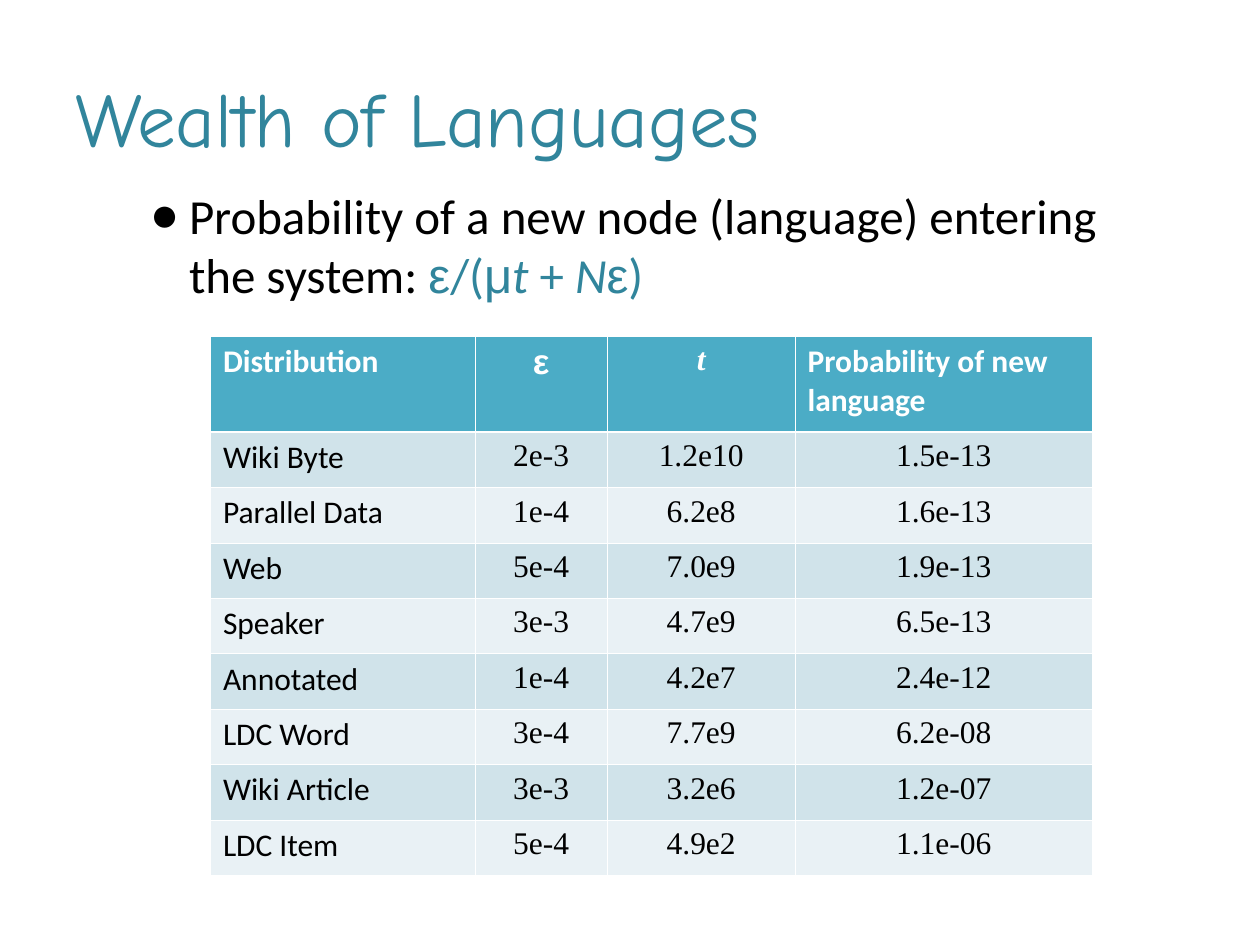
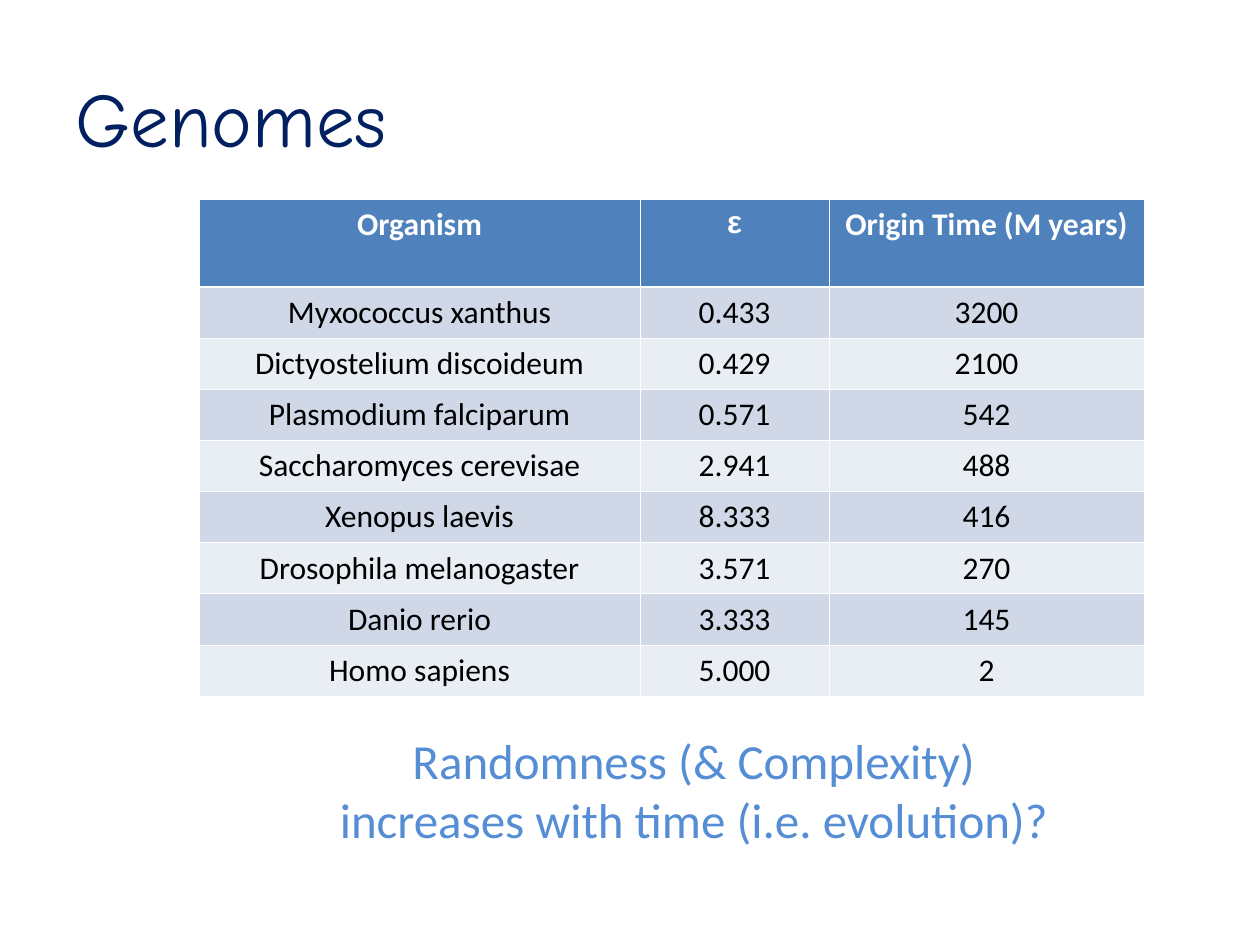
from lxml import etree
from pptx import Presentation
from pptx.dml.color import RGBColor
from pptx.enum.text import MSO_ANCHOR, PP_ALIGN
from pptx.oxml.ns import qn
from pptx.util import Inches, Pt

LEFT, CENTER = PP_ALIGN.LEFT, PP_ALIGN.CENTER
TOP, MIDDLE = MSO_ANCHOR.TOP, MSO_ANCHOR.MIDDLE
TITLE_FONT, BODY_FONT, GREEK_FONT, MATH_FONT = "Comic Neue", "Calibri", "Arial", "Times New Roman"
WHITE, BLACK, TEAL, NAVY, SKY = "FFFFFF", "000000", "31859C", "002060", "558ED5"
TITLE_BOX = (0.5, 0.3, 9, 1.25)
THIN, THICK = 0.45, 1.47

FORMULA = [
    ("Probability of a new node (language) entering the system: ", {"color": BLACK}),
    ("ε", {"font": GREEK_FONT}),
    ("/(", {}),
    ("μ", {"font": GREEK_FONT}),
    ("t ", {"italic": True}),
    ("+ ", {}),
    ("N", {"italic": True}),
    ("ε", {"font": GREEK_FONT}),
    (")", {}),
]

LANGUAGES = {
    "at": (1.67, 2.67),
    "cols": (2.1, 1.05, 1.49, 2.36),
    "head_height": 0.76,
    "row_height": 0.44,
    "head_fill": "4BACC6",
    "bands": ("D0E3EA", "E9F1F5"),
    "head": [
        ("Distribution", {"align": LEFT}),
        ("ε", {"font": GREEK_FONT, "size": 20}),
        ("t", {"font": MATH_FONT, "italic": True}),
        ("Probability of new language", {"align": LEFT}),
    ],
    "label": {"align": LEFT},
    "value": {"font": MATH_FONT},
    "rows": [
        ("Wiki Byte", "2e-3", "1.2e10", "1.5e-13"),
        ("Parallel Data", "1e-4", "6.2e8", "1.6e-13"),
        ("Web", "5e-4", "7.0e9", "1.9e-13"),
        ("Speaker", "3e-3", "4.7e9", "6.5e-13"),
        ("Annotated", "1e-4", "4.2e7", "2.4e-12"),
        ("LDC Word", "3e-4", "7.7e9", "6.2e-08"),
        ("Wiki Article", "3e-3", "3.2e6", "1.2e-07"),
        ("LDC Item", "5e-4", "4.9e2", "1.1e-06"),
    ],
}

GENOMES = {
    "at": (1.58, 1.58),
    "cols": (3.5, 1.5, 2.5),
    "head_height": 0.7,
    "row_height": 0.405,
    "head_fill": "4F81BD",
    "bands": ("D0D8E8", "E9EDF4"),
    "head": [
        ("Organism", {}),
        ("ε", {"font": GREEK_FONT}),
        ("Origin Time (M years)", {}),
    ],
    "label": {},
    "value": {},
    "rows": [
        ("Myxococcus xanthus", "0.433", "3200"),
        ("Dictyostelium discoideum", "0.429", "2100"),
        ("Plasmodium falciparum", "0.571", "542"),
        ("Saccharomyces cerevisae", "2.941", "488"),
        ("Xenopus laevis", "8.333", "416"),
        ("Drosophila melanogaster", "3.571", "270"),
        ("Danio rerio", "3.333", "145"),
        ("Homo sapiens", "5.000", "2"),
    ],
}


def rgb(value):
    return RGBColor.from_string(value)


def add_text(p, text, size=18, font=BODY_FONT, color=BLACK, bold=False, italic=False, align=LEFT):
    p.alignment = align
    r = p.add_run()
    r.text = text
    r.font.size = Pt(size)
    r.font.name = font
    r.font.color.rgb = rgb(color)
    r.font.bold = bold
    r.font.italic = italic


def place(sp, left, top, width, height):
    sp.left, sp.top, sp.width, sp.height = map(Inches, (left, top, width, height))


def add_slide(prs, layout, title, color):
    s = prs.slides.add_slide(prs.slide_layouts[layout])
    place(s.shapes.title, *TITLE_BOX)
    tf = s.shapes.title.text_frame
    tf.vertical_anchor = MIDDLE
    add_text(tf.paragraphs[0], title, size=44, font=TITLE_FONT, color=color)
    return s


def set_borders(cell, top, bottom):
    tc_pr = cell._tc.get_or_add_tcPr()
    for i, (side, width) in enumerate((("L", THIN), ("R", THIN), ("T", top), ("B", bottom))):
        ln = etree.Element(qn(f"a:ln{side}"), w=str(Pt(width)))
        fill = etree.SubElement(ln, qn("a:solidFill"))
        etree.SubElement(fill, qn("a:srgbClr"), val=WHITE)
        tc_pr.insert(i, ln)


def add_data_table(s, data):
    label, value = data["label"], data["value"]
    grid = [data["head"]]
    for name, *values in data["rows"]:
        grid.append([(name, label)] + [(v, value) for v in values])
    heights = [data["head_height"]] + [data["row_height"]] * len(data["rows"])
    size = map(Inches, (*data["at"], sum(data["cols"]), sum(heights)))
    table = s.shapes.add_table(len(grid), len(data["cols"]), *size).table
    table.horz_banding = False
    for column, width in zip(table.columns, data["cols"]):
        column.width = Inches(width)
    for i, (row, height, items) in enumerate(zip(table.rows, heights, grid)):
        row.height = Inches(height)
        head = i == 0
        base = {"align": CENTER, "bold": head, "color": WHITE if head else BLACK}
        for cell, (text, style) in zip(row.cells, items):
            cell.fill.solid()
            cell.fill.fore_color.rgb = rgb(data["head_fill"] if head else data["bands"][(i - 1) % 2])
            set_borders(cell, THICK if i == 1 else THIN, THICK if head else THIN)
            add_text(cell.text_frame.paragraphs[0], text, **{**base, **style})


def add_formula(s):
    body = s.placeholders[1]
    place(body, 1, 1.42, 8.2, 5.25)
    body.text_frame.vertical_anchor = TOP
    p = body.text_frame.paragraphs[0]
    p.space_before = Pt(0)
    p_pr = p._p.get_or_add_pPr()
    p_pr.set("marL", str(Inches(0.4)))
    p_pr.set("indent", str(Inches(-0.31)))
    bullet_color = etree.SubElement(p_pr, qn("a:buClr"))
    etree.SubElement(bullet_color, qn("a:srgbClr"), val=BLACK)
    etree.SubElement(p_pr, qn("a:buFont"), typeface=GREEK_FONT)
    etree.SubElement(p_pr, qn("a:buChar"), char="●")
    for text, style in FORMULA:
        add_text(p, text, **{"size": 28, "color": TEAL, **style})


def add_conclusion(s):
    box = s.shapes.add_textbox(*map(Inches, (2.42, 5.75, 6.17, 1.04)))
    tf = box.text_frame
    tf.word_wrap = True
    tf.margin_left = tf.margin_right = Inches(0.15)
    add_text(tf.paragraphs[0], "Randomness (& Complexity) increases with time (i.e. evolution)?",
             size=28, color=SKY, align=CENTER)


def main():
    prs = Presentation()
    prs.slide_width, prs.slide_height = Inches(10), Inches(7.5)

    s = add_slide(prs, 1, "Wealth of Languages", TEAL)
    add_data_table(s, LANGUAGES)
    add_formula(s)

    s = add_slide(prs, 5, "Genomes", NAVY)
    add_data_table(s, GENOMES)
    add_conclusion(s)

    prs.save("out.pptx")


if __name__ == "__main__":
    main()
